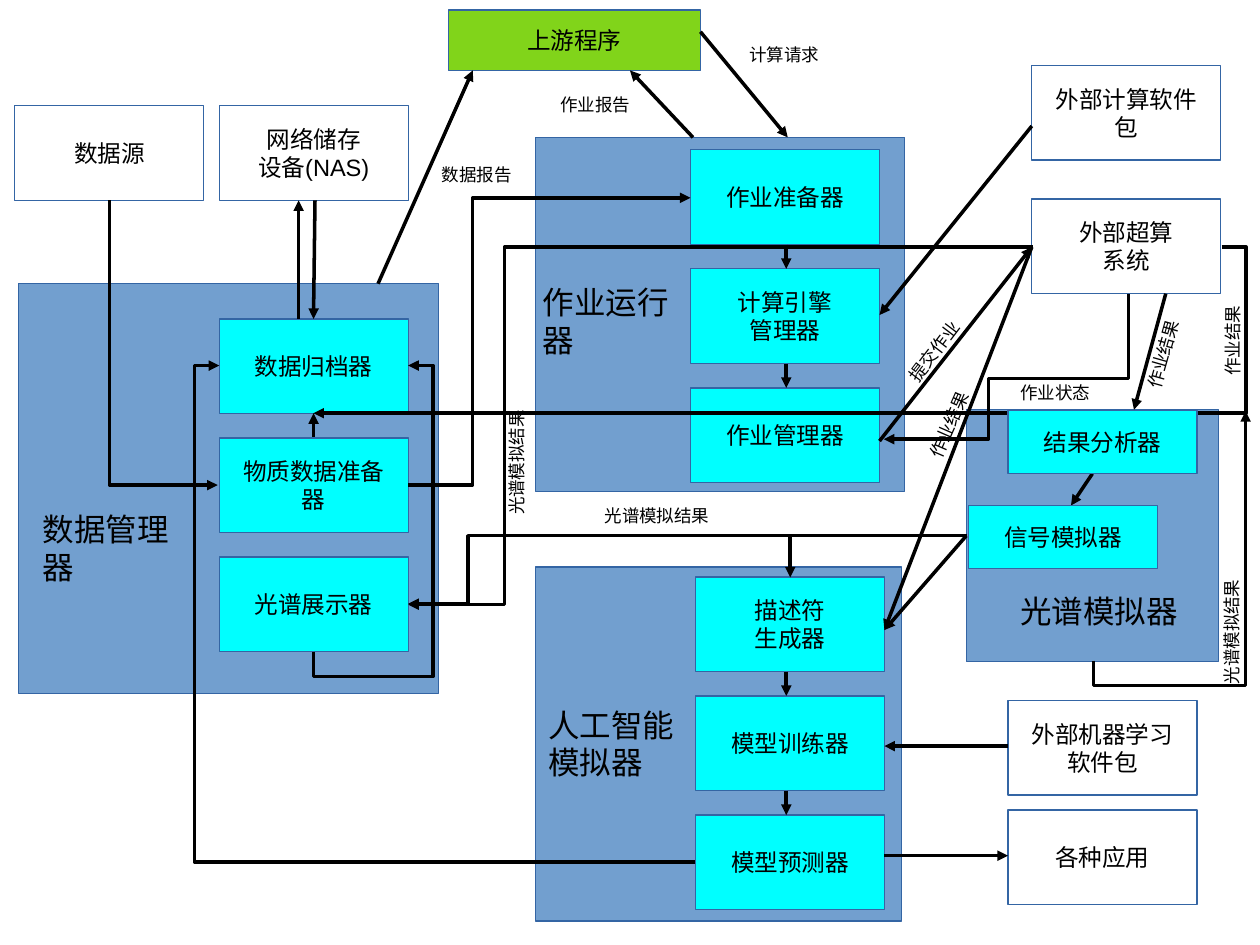
from lxml import etree
from pptx import Presentation
from pptx.dml.color import RGBColor
from pptx.enum.shapes import MSO_CONNECTOR as Connector, MSO_SHAPE as Shape
from pptx.enum.text import MSO_ANCHOR as Anchor, MSO_AUTO_SIZE as AutoSize, PP_ALIGN as Align
from pptx.oxml.ns import qn
from pptx.util import Cm, Pt

COLORS = {"panel": "729FCF", "module": "00FFFF", "upstream": "81D41A",
          "outline": "3465A4", "ink": "000000"}
BOX_WIDTH, BOX_HEIGHT, BOX_PITCH = 3.81, 1.91, 2.4
FLOW_X = 15.85

presentation = Presentation()
presentation.slide_width, presentation.slide_height = Cm(25.4), Cm(19.05)
slide = presentation.slides.add_slide(presentation.slide_layouts[6])


def write_lines(frame, lines, size, align):
    frame.word_wrap = True
    for index, line in enumerate(lines.split("\n")):
        paragraph = frame.paragraphs[0] if index == 0 else frame.add_paragraph()
        paragraph.alignment = align
        run = paragraph.add_run()
        run.text = line
        run.font.size = Pt(size)
        run.font.name = "Arial"
        run.font.color.rgb = RGBColor.from_string(COLORS["ink"])


def add_box(left, top, width, height, color=None, lines=None):
    """Add an outlined rectangle; without a color it stays unfilled."""
    box = slide.shapes.add_shape(Shape.RECTANGLE, Cm(left), Cm(top), Cm(width), Cm(height))
    box.shadow.inherit = False
    if color:
        box.fill.solid()
        box.fill.fore_color.rgb = RGBColor.from_string(COLORS[color])
    else:
        box.fill.background()
    box.line.color.rgb = RGBColor.from_string(COLORS["outline"])
    box.line.width = Pt(0)
    if lines:
        box.text_frame.vertical_anchor = Anchor.MIDDLE
        write_lines(box.text_frame, lines, 13.5, Align.CENTER)


# Panels
for panel in [
    (0.38, 5.72, 8.46, 8.26),
    (10.8, 2.77, 7.44, 7.14),
    (10.8, 11.43, 7.37, 7.14),
    (19.48, 8.26, 5.08, 5.08),
]:
    add_box(*panel, "panel")

# Stacked modules inside the panels
module_columns = [
    (4.42, 6.43, ["数据归档器", "物质数据准备器", "光谱展示器"]),
    (13.92, 3.02, ["作业准备器", "计算引擎\n管理器", "作业管理器"]),
    (14.02, 11.63, ["描述符\n生成器", "模型训练器", "模型预测器"]),
]
for left, top, names in module_columns:
    for row, name in enumerate(names):
        add_box(left, top + row * BOX_PITCH, BOX_WIDTH, BOX_HEIGHT, "module", name)

# External systems
for left, top, name in [
    (0.3, 2.13, "数据源"),
    (4.42, 2.13, "网络储存\n设备(NAS)"),
    (20.8, 1.32, "外部计算软件包"),
    (20.8, 4.01, "外部超算\n系统"),
    (20.32, 14.12, "外部机器学习软件包"),
    (20.32, 16.33, "各种应用"),
]:
    add_box(left, top, BOX_WIDTH, BOX_HEIGHT, lines=name)
add_box(9.04, 0.2, 5.08, 1.22, "upstream", "上游程序")

# Straight arrows: begin x, begin y, end x, end y
straight_arrows = [
    (6.02, 6.43, 6.02, 4.04),
    (6.35, 4.04, 6.32, 6.43),
    (6.32, 8.81, 6.32, 8.33),
    (17.83, 17.25, 20.32, 17.25),
    (17.73, 8.89, 20.8, 4.98),
    (20.8, 4.98, 17.83, 12.7),
    (20.32, 15.04, 17.83, 15.04),
    (20.8, 2.54, 17.73, 6.35),
    (23.5, 5.92, 22.86, 8.26),
    (19.48, 10.8, 17.83, 12.7),
    (22.02, 9.55, 21.59, 10.19),
    (14.12, 0.64, 15.88, 2.77),
    (7.62, 5.72, 9.53, 1.42),
    (13.97, 2.77, 12.7, 1.42),
]
for left, top, names in module_columns[1:]:
    for row in range(len(names) - 1):
        box_top = top + row * BOX_PITCH
        straight_arrows.append((FLOW_X, box_top + BOX_HEIGHT, FLOW_X, box_top + BOX_PITCH))

# Elbow arrows: left, top, width, height, rotation, flips, preset number, bends in percent
elbow_arrows = [
    (4.39, 9.3, 5.77, 1.91, 90, "hv", 4, [-8.7, 126.3]),
    (4.42, 7.37, 9.6, 10.01, 180, "", 3, [105.2]),
    (0.43, 5.82, 5.74, 2.18, 270, "h", 2, []),
    (8.23, 3.99, 5.69, 5.79, 0, "v", 3, [22.8]),
    (8.23, 4.98, 12.6, 7.21, 180, "v", 3, [84.6]),
    (8.23, 10.8, 11.25, 1.37, 180, "v", 3, [89.3]),
    (15.93, 10.8, 3.56, 0.84, 180, "v", 2, []),
    (18.82, 4.93, 2.92, 4.93, 90, "", 4, [58.1, 57.2]),
    (6.32, 4.98, 18.31, 3.35, 0, "h", 3, [-2.7]),
    (21.06, 9.27, 5.03, 3.07, 90, "hv", 3, [-10]),
]

arrows = [slide.shapes.add_connector(Connector.STRAIGHT, *map(Cm, ends))
          for ends in straight_arrows]
for left, top, width, height, rotation, flips, number, bends in elbow_arrows:
    x_ends, y_ends = [left, left + width], [top, top + height]
    if "h" in flips:
        x_ends.reverse()
    if "v" in flips:
        y_ends.reverse()
    arrow = slide.shapes.add_connector(
        Connector.ELBOW, Cm(x_ends[0]), Cm(y_ends[0]), Cm(x_ends[1]), Cm(y_ends[1]))
    properties = arrow._element.spPr
    properties.find(qn("a:xfrm")).set("rot", str(rotation * 60000))
    geometry = properties.find(qn("a:prstGeom"))
    geometry.set("prst", f"bentConnector{number}")
    guides = geometry.find(qn("a:avLst"))
    for index, bend in enumerate(bends, 1):
        etree.SubElement(guides, qn("a:gd"), name=f"adj{index}", fmla=f"val {round(bend * 1000)}")
    arrows.append(arrow)

for arrow in arrows:
    arrow.line.color.rgb = RGBColor.from_string(COLORS["ink"])
    arrow.line.width = Pt(0)
    etree.SubElement(arrow.line._get_or_add_ln(), qn("a:tailEnd"), type="triangle")
    etree.SubElement(arrow._element.spPr, qn("a:effectLst"))

# Spectrum modules cover the arrows that pass behind them
add_box(20.32, 8.28, BOX_WIDTH, 1.27, "module", "结果分析器")
add_box(19.53, 10.19, BOX_WIDTH, 1.27, "module", "信号模拟器")

# Labels: left, top, width, height, rotation, size, text
for left, top, width, height, rotation, size, text in [
    (0.61, 10.16, 3.18, 2.08, 0, 18, "数据管理器"),
    (10.69, 5.59, 3.18, 2.08, 0, 18, "作业运行器"),
    (10.8, 14.1, 3.18, 2.08, 0, 18, "人工智能模拟器"),
    (20.32, 11.81, 4.45, 1.73, 0, 18, "光谱模拟器"),
    (17.65, 6.2, 3.23, 0.76, 307.3, 10, "提交作业"),
    (11.94, 10.06, 5.72, 0.76, 0, 10, "光谱模拟结果"),
    (7.59, 7.39, 5.72, 0.76, 269.8, 10, "光谱模拟结果"),
    (22, 10.8, 5.72, 0.76, 270, 10, "光谱模拟结果"),
    (22.4, 6.6, 2.26, 0.76, 285.7, 10, "作业结果"),
    (18.11, 8.03, 2.26, 0.76, 293.6, 10, "作业结果"),
    (23.75, 6.3, 2.29, 0.76, 270.4, 10, "作业结果"),
    (20.32, 7.57, 2.29, 0.76, 0, 10, "作业状态"),
    (14.86, 0.76, 2.29, 1.04, 0, 10, "计算请求"),
    (11.05, 1.78, 2.29, 0.76, 0, 10, "作业报告"),
    (8.66, 3.18, 2.29, 0.76, 0, 10, "数据报告"),
]:
    label = slide.shapes.add_textbox(Cm(left), Cm(top), Cm(width), Cm(height))
    label.rotation = rotation
    label.text_frame.auto_size = AutoSize.SHAPE_TO_FIT_TEXT
    write_lines(label.text_frame, text, size, Align.LEFT)

presentation.save("out.pptx")
